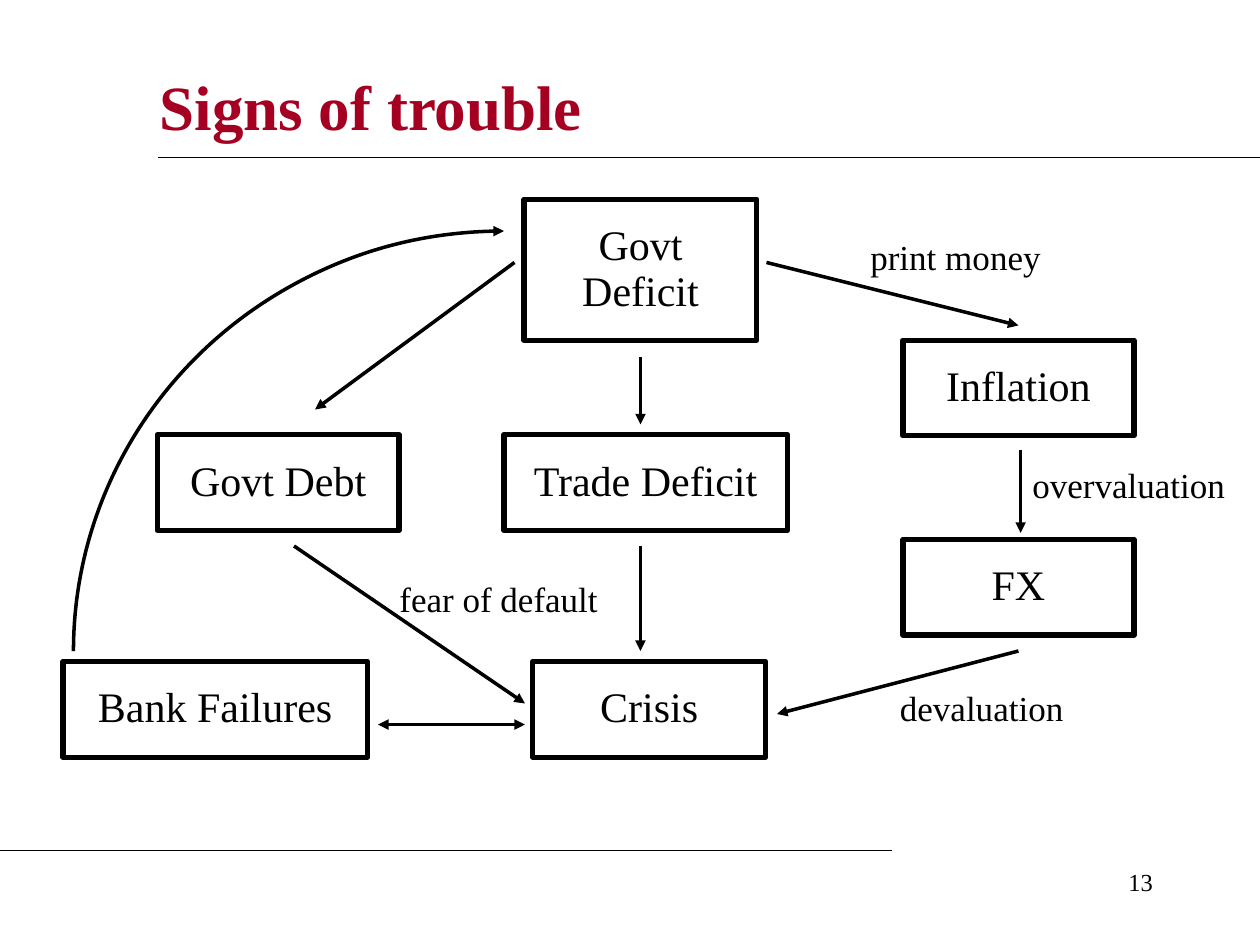
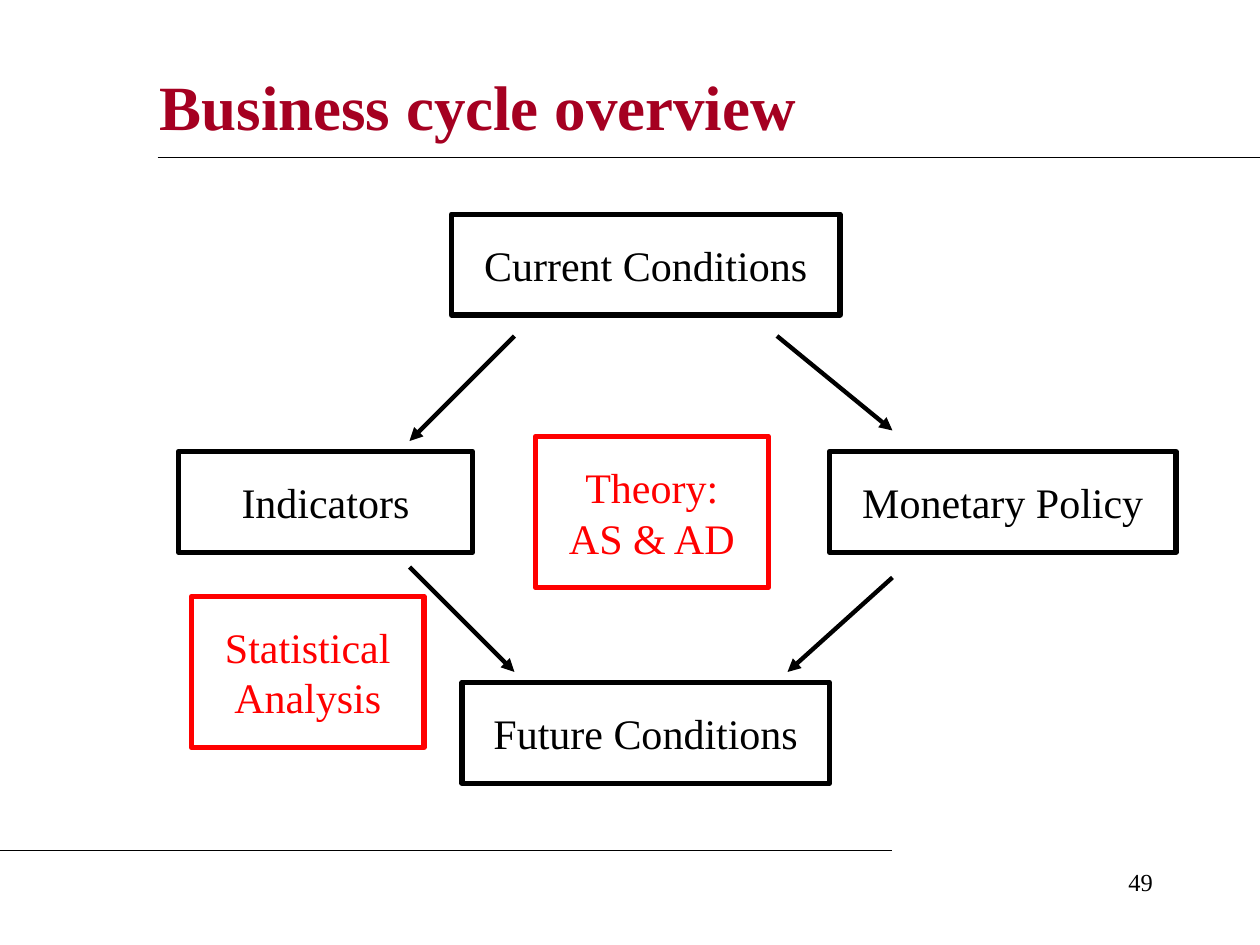
from lxml import etree
from pptx import Presentation
from pptx.dml.color import RGBColor
from pptx.enum import shapes, text
from pptx.oxml.ns import qn
from pptx.util import Pt

FONT = "Times New Roman"
BLACK, RED, CRIMSON = "000000", "FF0000", "A50021"
INSET = 14.4
LABEL_HEIGHT = 31.5

# Boxes: text, left, top, width, height, colour
# Labels: text, left, top, width
# Arrows: start, end, heads ("end" or "both")
SLIDES = [
    {
        "title": "Signs of trouble",
        "number": 13,
        "line_spacing": 0.9,
        "arrow_width": 2,
        "boxes": [
            ("Govt Deficit", 299.5, 113.8, 133, 80.6, BLACK),
            ("Inflation", 516, 194.4, 132, 54.7, BLACK),
            ("FX", 516, 308.2, 132, 54.7, BLACK),
            ("Govt Debt", 90, 248.4, 138, 54.7, BLACK),
            ("Trade Deficit", 288, 248.4, 162, 54.7, BLACK),
            ("Bank Failures", 36, 378, 174, 54.7, BLACK),
            ("Crisis", 304.5, 378, 133, 54.7, BLACK),
        ],
        "labels": [
            ("print money", 468, 131.3, 156),
            ("overvaluation", 576, 261.5, 138),
            ("devaluation", 492, 388.8, 138),
            ("fear of default", 216, 326.4, 138),
        ],
        "arrows": [
            ((438, 150), (582, 186), "end"),
            ((294, 150), (180, 234), "end"),
            ((366, 204), (366, 242.5), "end"),
            ((366, 312), (366, 372), "end"),
            ((168, 312), (300, 402), "end"),
            ((583.2, 257), (583.2, 304.5), "end"),
            ((582, 372), (444, 408), "end"),
            ((216, 414), (300, 414), "both"),
        ],
        "arcs": [((42, 372), (288, 132))],
    },
    {
        "title": "Business cycle overview",
        "number": 49,
        "line_spacing": 1.0,
        "arrow_width": 2.5,
        "boxes": [
            ("Current Conditions", 258, 122.4, 222, 57.6, BLACK),
            ("Indicators", 102, 258, 168, 57.6, BLACK),
            ("Monetary Policy", 474, 258, 198, 57.6, BLACK),
            ("Future Conditions", 264, 390, 210, 57.6, BLACK),
            ("Theory: AS & AD", 306, 249.4, 133, 86.4, RED),
            ("Statistical Analysis", 109.4, 340.8, 133, 86.4, RED),
        ],
        "labels": [],
        "arrows": [
            ((294, 192), (234, 252), "end"),
            ((444, 192), (510, 246), "end"),
            ((234, 324), (294, 384), "end"),
            ((510, 330), (450, 384), "end"),
        ],
        "arcs": [],
    },
]


def colour(hex_code):
    return RGBColor.from_string(hex_code)


def write(shape, words, size, hex_code, align, inset=(7.2, 3.6), spacing=1.0,
          anchor=text.MSO_ANCHOR.TOP, bold=False):
    frame = shape.text_frame
    frame.text = words
    frame.word_wrap = True
    frame.auto_size = text.MSO_AUTO_SIZE.NONE
    frame.vertical_anchor = anchor
    frame.margin_left = frame.margin_right = Pt(inset[0])
    frame.margin_top = frame.margin_bottom = Pt(inset[1])
    para = frame.paragraphs[0]
    para.alignment = align
    para.line_spacing = spacing
    para.space_before = Pt(0)
    for span in para.runs:
        span.font.name = FONT
        span.font.size = Pt(size)
        span.font.bold = bold
        span.font.color.rgb = colour(hex_code)


def style_line(shape, width, heads=None):
    shape.line.color.rgb = colour(BLACK)
    shape.line.width = Pt(width)
    outline = shape.line._get_or_add_ln()
    if heads == "both":
        etree.SubElement(outline, qn("a:headEnd"), type="triangle")
    if heads:
        etree.SubElement(outline, qn("a:tailEnd"), type="triangle")


def add_line(page, start, end, width, heads=None):
    line = page.shapes.add_connector(
        shapes.MSO_CONNECTOR.STRAIGHT, *map(Pt, start + end))
    style_line(line, width, heads)
    etree.SubElement(line._element.spPr, qn("a:effectLst"))


def add_arc(page, start, end, width):
    """Draw a quarter ellipse rising from start and turning right to end."""
    builder = page.shapes.build_freeform(*map(Pt, start))
    builder.add_line_segments([tuple(map(Pt, end))], close=False)
    arc = builder.convert_to_shape()
    arc.shadow.inherit = False
    arc.fill.background()
    segment = next(arc._element.iter(qn("a:lnTo")))
    curve = etree.Element(qn("a:arcTo"), wR=str(arc.width), hR=str(arc.height),
                          stAng="10800000", swAng="5400000")
    segment.getparent().replace(segment, curve)
    style_line(arc, width, "end")


def add_box(page, words, left, top, width, height, hex_code, spacing):
    box = page.shapes.add_shape(
        shapes.MSO_SHAPE.RECTANGLE, *map(Pt, (left, top, width, height)))
    box.shadow.inherit = False
    box.fill.background()
    box.line.color.rgb = colour(hex_code)
    box.line.width = Pt(3)
    write(box, words, 24, hex_code, text.PP_ALIGN.CENTER, (INSET, INSET), spacing)


def add_text(page, words, left, top, width, height, size, align):
    box = page.shapes.add_textbox(*map(Pt, (left, top, width, height)))
    write(box, words, size, BLACK, align)


def add_page(deck, title, number):
    page = deck.slides.add_slide(deck.slide_layouts.get_by_name("Title Only"))
    heading = page.shapes.title
    heading.left, heading.top = Pt(84), Pt(30)
    heading.width, heading.height = Pt(582), Pt(60)
    write(heading, title, 36, CRIMSON, text.PP_ALIGN.LEFT,
          anchor=text.MSO_ANCHOR.MIDDLE, bold=True)
    add_line(page, (90, 90), (720, 90), 0.75)
    add_line(page, (0, 486), (510, 486), 0.75)
    add_text(page, str(number), 516, 492, 150, 36, 14, text.PP_ALIGN.RIGHT)
    return page


def main():
    deck = Presentation()
    deck.slide_width, deck.slide_height = Pt(720), Pt(540)
    for content in SLIDES:
        page = add_page(deck, content["title"], content["number"])
        for box in content["boxes"]:
            add_box(page, *box, content["line_spacing"])
        for start, end, heads in content["arrows"]:
            add_line(page, start, end, content["arrow_width"], heads)
        for start, end in content["arcs"]:
            add_arc(page, start, end, content["arrow_width"])
        for label in content["labels"]:
            add_text(page, *label, LABEL_HEIGHT, 20, text.PP_ALIGN.CENTER)
    deck.save("out.pptx")


if __name__ == "__main__":
    main()
